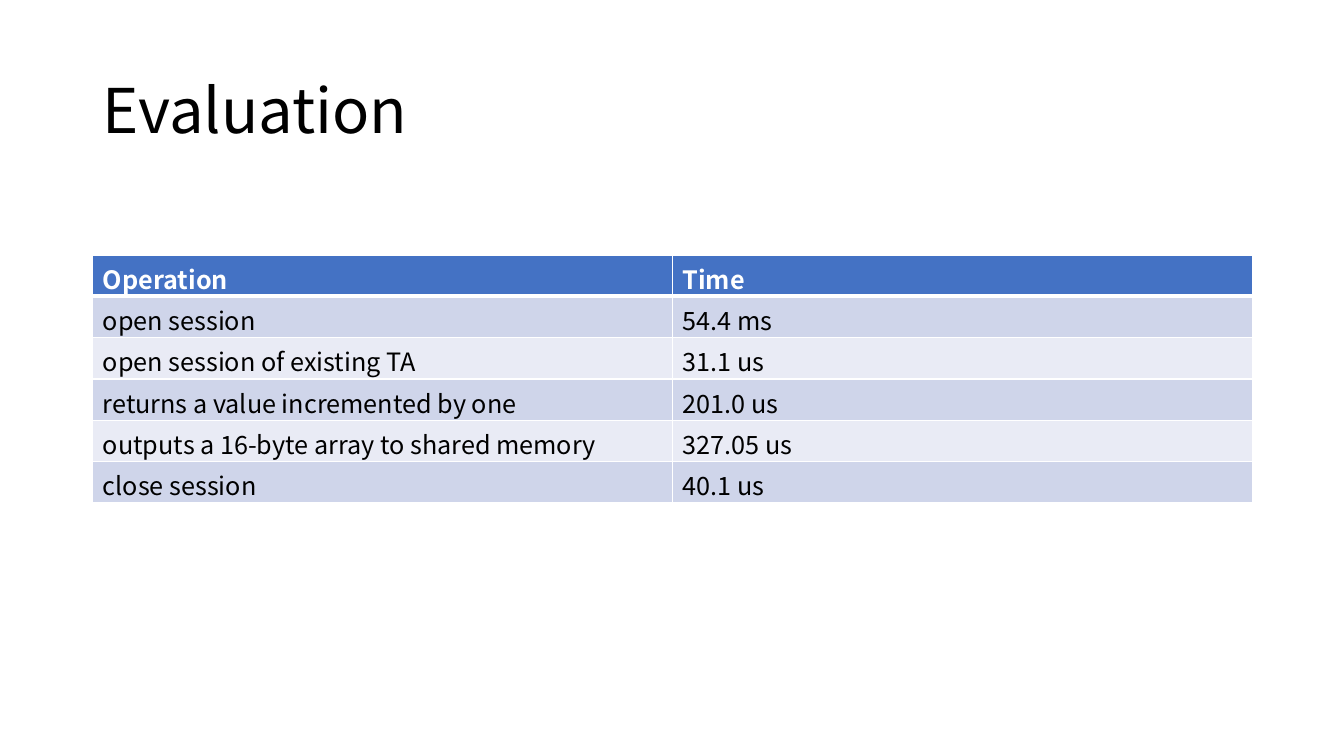
from lxml.etree import SubElement as Sub
from pptx import Presentation as Deck
from pptx.dml.color import RGBColor as RGB
from pptx.enum.text import MSO_ANCHOR as Anchor
from pptx.oxml.ns import qn
from pptx.util import Inches, Pt

FONT = "Noto Sans CJK SC"
HUES = {
    "black": "000000",
    "white": "FFFFFF",
    "head": "4472C4",
    "odd": "CFD5EA",
    "even": "E9EBF5",
}
ROWS = [
    ("Operation", "Time"),
    ("open session", "54.4 ms"),
    ("open session of existing TA", "31.1 us"),
    ("returns a value incremented by one", "201.0 us"),
    ("outputs a 16-byte array to shared memory", "327.05 us"),
    ("close session", "40.1 us"),
]
LEFT, WIDTH = 0.92, 11.5
ROW_H = 0.41


def write(frame, text, size=18, hue="black", bold=False, space=None):
    par = frame.paragraphs[0]
    par.line_spacing = space
    run = par.add_run()
    run.text = text
    font = run.font
    font.name, font.size, font.bold = FONT, Pt(size), bold
    font.color.rgb = RGB.from_string(HUES[hue])


def add_title(slide, text):
    box = slide.shapes.add_textbox(
        Inches(LEFT), Inches(0.4), Inches(WIDTH), Inches(1.45))
    frame = box.text_frame
    frame.word_wrap = True
    frame.vertical_anchor = Anchor.MIDDLE
    write(frame, text, size=44, space=0.9)


def add_edges(cell, top, bottom):
    # Edges must come before the fill in the cell properties
    props = cell._tc.get_or_add_tcPr()
    for side, width in zip("LRTB", (1, 1, top, bottom)):
        line = Sub(props, qn(f"a:ln{side}"), w=str(Pt(width)))
        fill = Sub(line, qn("a:solidFill"))
        Sub(fill, qn("a:srgbClr"), val=HUES["white"])


def add_grid(slide, rows):
    count, cols = len(rows), len(rows[0])
    grid = slide.shapes.add_table(
        count, cols, Inches(LEFT), Inches(2.53),
        Inches(WIDTH), Inches(ROW_H * count)).table
    for i, row in enumerate(rows):
        head = i == 0
        band = "head" if head else ("even", "odd")[i % 2]
        for j, text in enumerate(row):
            cell = grid.cell(i, j)
            # Thick rule between the header and the first row
            add_edges(cell, top=3 if i == 1 else 1, bottom=3 if head else 1)
            cell.fill.solid()
            cell.fill.fore_color.rgb = RGB.from_string(HUES[band])
            write(cell.text_frame, text, bold=head,
                  hue="white" if head else "black")


def main():
    deck = Deck()
    deck.slide_width, deck.slide_height = Inches(13.33), Inches(7.5)
    slide = deck.slides.add_slide(deck.slide_layouts[6])
    add_title(slide, "Evaluation")
    add_grid(slide, ROWS)
    deck.save("out.pptx")


main()
